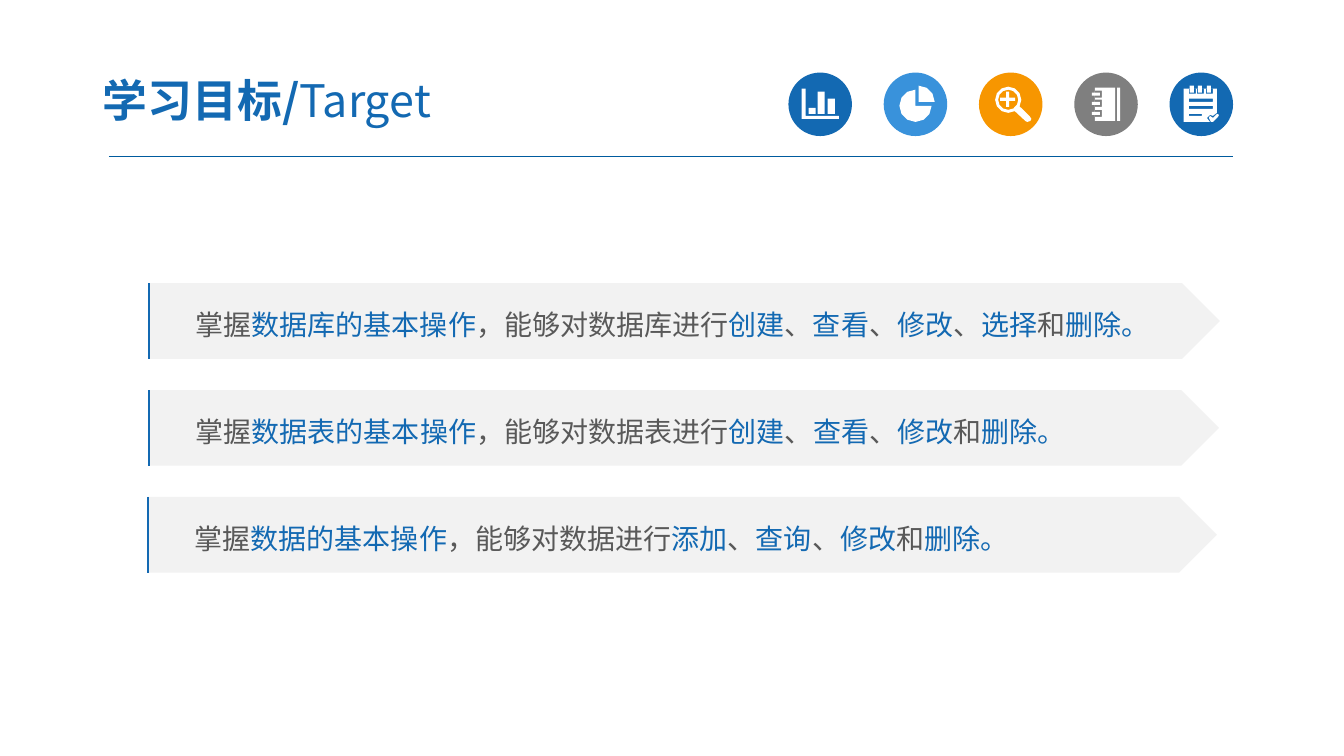
import math
from dataclasses import dataclass

import pptx
import pptx.dml.color
import pptx.enum.shapes
import pptx.enum.text
import pptx.oxml.ns
import pptx.util
from lxml import etree

Inches = pptx.util.Inches
Kinds = pptx.enum.shapes.MSO_SHAPE
Points = list[tuple[float, float]]

FONT = "Noto Sans CJK SC"
BLUE, SKY, AMBER = "1369B2", "3992DB", "F79600"
GREY, PALE, TEXT, WHITE = "7F7F7F", "F2F2F2", "595959", "FFFFFF"
DISC, DISC_TOP, DISC_LEFT, DISC_STEP = 0.63, 0.72, 7.82, 0.945
ROW_TOP, ROW_STEP, ROW_HIGH = 2.81, 1.06, 0.75


@dataclass
class Icon:
    fill: str
    loops: list[Points]


@dataclass
class Row:
    left: float
    width: float
    text: str  # parts split by "|": plain and blue in turn


def color(code: str) -> pptx.dml.color.RGBColor:
    return pptx.dml.color.RGBColor.from_string(code)


def arc(x: float, y: float, r: float, start: int = 0, end: int = 330) -> Points:
    """Points every 30 degrees, clockwise from the right."""
    turns = [math.radians(a) for a in range(start, end + 1, 30)]
    return [(x + r * math.cos(t), y + r * math.sin(t)) for t in turns]


def bar(x: float, y: float, w: float, h: float) -> Points:
    return [(x, y), (x + w, y), (x + w, y + h), (x, y + h)]


def style(shape, fill: str) -> None:
    shape.shadow.inherit = False
    shape.fill.solid()
    shape.fill.fore_color.rgb = color(fill)
    shape.line.fill.background()


def add_icon(slide, icon: Icon, left: float) -> None:
    disc = slide.shapes.add_shape(Kinds.OVAL, Inches(left), Inches(DISC_TOP),
                                  Inches(DISC), Inches(DISC))
    style(disc, icon.fill)
    loops = [[(Inches(x), Inches(y)) for x, y in loop] for loop in icon.loops]
    pen = slide.shapes.build_freeform(*loops[0][0])
    pen.add_line_segments(loops[0][1:])
    for loop in loops[1:]:
        pen.move_to(*loop[0])
        pen.add_line_segments(loop[1:])
    style(pen.convert_to_shape(), WHITE)


def add_line(slide, start: tuple[float, float], end: tuple[float, float],
             code: str, width: float) -> None:
    line = slide.shapes.add_connector(pptx.enum.shapes.MSO_CONNECTOR.STRAIGHT,
                                      *map(Inches, start + end))
    line.line.color.rgb = color(code)
    line.line.width = pptx.util.Pt(width)
    etree.SubElement(line._element.spPr, pptx.oxml.ns.qn("a:effectLst"))


def add_run(para, text: str, code: str, size: int, bold: bool = False) -> None:
    run = para.add_run()
    run.text = text
    look = {"name": FONT, "size": pptx.util.Pt(size), "bold": bold}
    for key, value in look.items():
        setattr(run.font, key, value)
    run.font.color.rgb = color(code)
    east = etree.SubElement(run.font._element, pptx.oxml.ns.qn("a:ea"))
    east.set("typeface", FONT)


def set_frame(frame, left: float, side: float, edge: float):
    """Format a text frame and give its first paragraph."""
    look = {"word_wrap": True, "auto_size": pptx.enum.text.MSO_AUTO_SIZE.NONE,
            "vertical_anchor": pptx.enum.text.MSO_ANCHOR.MIDDLE,
            "margin_left": Inches(left), "margin_right": Inches(side),
            "margin_top": Inches(edge), "margin_bottom": Inches(edge)}
    for key, value in look.items():
        setattr(frame, key, value)
    para = frame.paragraphs[0]
    para.alignment = pptx.enum.text.PP_ALIGN.LEFT
    return para


def add_title(slide) -> None:
    title = slide.shapes.title
    place = {"left": 0.89, "top": 0.63, "width": 5.22, "height": 0.72}
    for key, value in place.items():
        setattr(title, key, Inches(value))
    para = set_frame(title.text_frame, 0.13, 0.13, 0.07)
    add_run(para, "学习目标/", BLUE, 32, True)
    add_run(para, "Target", BLUE, 32)


def add_row(slide, row: Row, top: float) -> None:
    plate = slide.shapes.add_shape(Kinds.PENTAGON, Inches(row.left), Inches(top),
                                   Inches(row.width), Inches(ROW_HIGH))
    style(plate, PALE)
    para = set_frame(plate.text_frame, 0.47, 0.1, 0.05)
    para.line_spacing = 1.2
    for i, part in enumerate(row.text.split("|")):
        add_run(para, part, BLUE if i % 2 else TEXT, 20)
    edge = row.left + 0.01
    add_line(slide, (edge, top), (edge, top + ROW_HIGH), BLUE, 1.5)


CHART = [[(7.95, 0.88), (7.99, 0.88), (7.99, 1.15), (8.32, 1.15), (8.32, 1.18), (7.95, 1.18)],
         bar(8.02, 1.07, 0.07, 0.06), bar(8.11, 0.91, 0.07, 0.22), bar(8.21, 0.98, 0.07, 0.15)]
PIE = [[(9.08, 1.05)] + arc(9.08, 1.05, 0.16, 0, 270),
       [(9.11, 1.01)] + arc(9.11, 1.01, 0.16, 270, 360)]
LENS = [arc(10, 0.99, 0.13, 60, 390)
        + [(10.21, 1.15), (10.23, 1.18), (10.22, 1.2), (10.19, 1.21), (10.17, 1.2)],
        arc(10, 0.99, 0.1), bar(9.98, 0.91, 0.03, 0.15),
        bar(9.92, 0.97, 0.06, 0.03), bar(10.01, 0.97, 0.06, 0.03)]
BOOK = [bar(10.86, 0.87, 0.2, 0.33), bar(11.08, 0.87, 0.03, 0.33)]
for y in (0.92, 1.01, 1.11):
    BOOK += [bar(10.86, y - 0.02, 0.07, 0.07), bar(10.83, y, 0.08, 0.03)]
NOTE = [[(11.74, 0.88), (12.07, 0.88), (12.07, 1.12), (12.03, 1.15), (12, 1.14),
         (11.97, 1.17), (12, 1.21), (11.74, 1.21)],
        [(12.08, 1.16), (12.03, 1.21), (12.01, 1.21), (11.99, 1.17), (12, 1.15),
         (12.03, 1.17), (12.07, 1.13), (12.09, 1.14)],
        bar(11.79, 0.98, 0.24, 0.03), bar(11.79, 1.05, 0.24, 0.03),
        bar(11.79, 1.13, 0.13, 0.02)]
for x in (11.79, 11.87, 11.96):
    NOTE += [bar(x, 0.88, 0.07, 0.05), bar(x + 0.01, 0.85, 0.04, 0.07)]

ICONS = [Icon(BLUE, CHART), Icon(SKY, PIE), Icon(AMBER, LENS), Icon(GREY, BOOK), Icon(BLUE, NOTE)]
ROWS = [
    Row(1.47, 10.63, "掌握|数据库的基本操作|，能够对数据库进行|创建|、|查看|、|修改|、|选择|和|删除。"),
    Row(1.47, 10.62, "掌握|数据表的基本操作|，能够对数据表进行|创建|、|查看|、|修改|和|删除。"),
    Row(1.46, 10.61, "掌握|数据的基本操作|，能够对数据进行|添加|、|查询|、|修改|和|删除。"),
]


def main() -> None:
    deck = pptx.Presentation()
    deck.slide_width, deck.slide_height = Inches(13.33), Inches(7.5)
    slide = deck.slides.add_slide(deck.slide_layouts.get_by_name("Title Only"))
    add_line(slide, (1.08, 1.55), (12.23, 1.55), "005B9E", 0.75)
    for i, icon in enumerate(ICONS):
        add_icon(slide, icon, DISC_LEFT + i * DISC_STEP)
    add_title(slide)
    for i, row in enumerate(ROWS):
        add_row(slide, row, ROW_TOP + i * ROW_STEP)
    deck.save("out.pptx")


if __name__ == "__main__":
    main()
